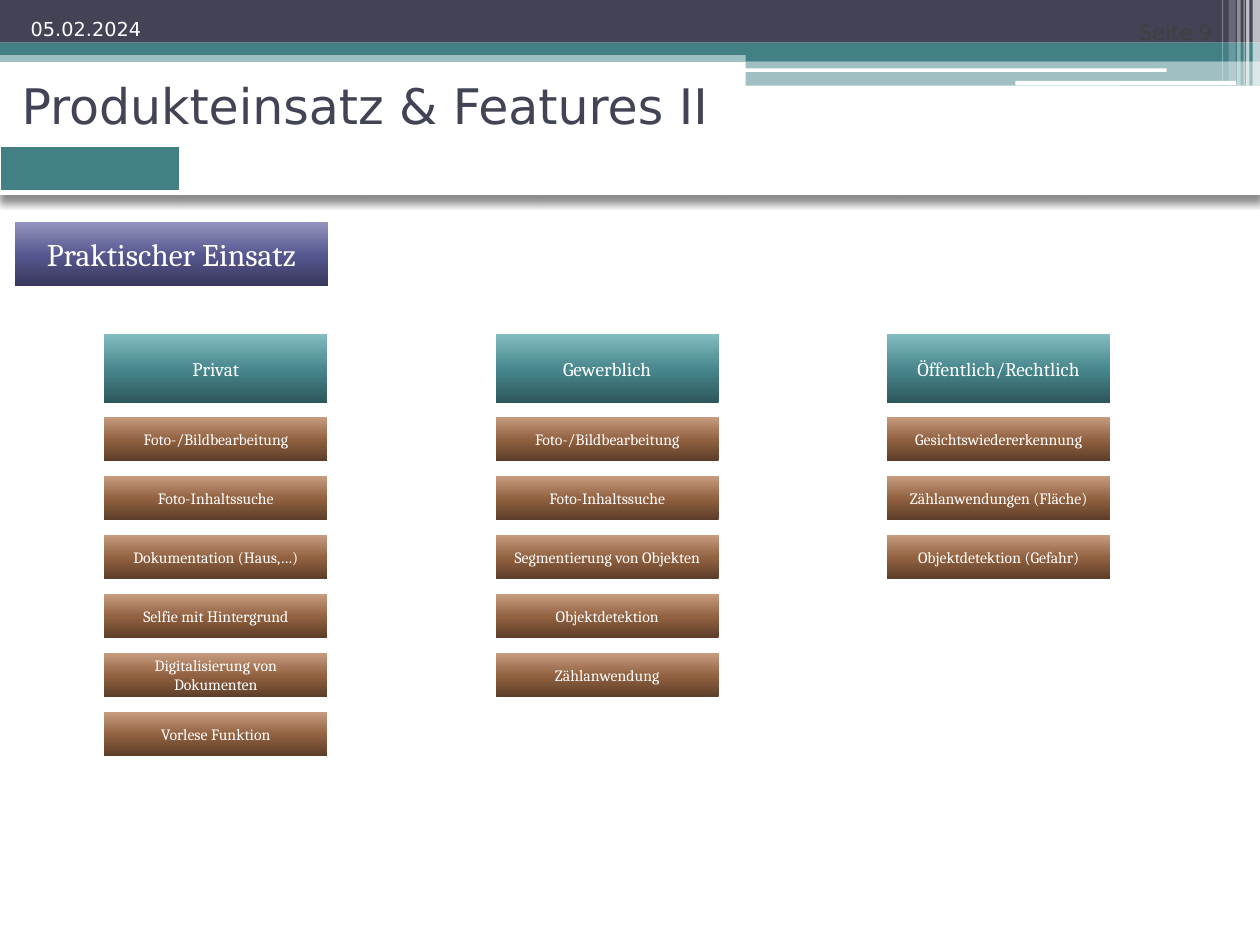
from dataclasses import dataclass

import lxml.etree
import pptx
import pptx.dml.color
import pptx.enum.shapes
import pptx.enum.text
import pptx.oxml
import pptx.oxml.ns
import pptx.util
from pptx.util import Cm, Pt

ALIGN = pptx.enum.text.PP_ALIGN
ANCHOR = pptx.enum.text.MSO_ANCHOR
SHAPE = pptx.enum.shapes.MSO_SHAPE
NAMESPACE = pptx.oxml.ns.nsdecls("a")


@dataclass(frozen=True)
class Theme:
    navy: str = "424456"
    teal: str = "438086"
    white: str = "FFFFFF"
    grey: str = "404040"
    purple_gradient: tuple[str, ...] = ("38385C", "56578F", "9394BE")
    teal_gradient: tuple[str, ...] = ("2D565A", "46868C", "83BCC1")
    brown_gradient: tuple[str, ...] = ("5D3E29", "916140", "C69B7E")
    heading_font: str = "DejaVu Sans"
    body_font: str = "Cambria"
    title_size: float = 28
    section_size: float = 18
    page_size: float = 12
    group_size: float = 11
    item_size: float = 9


@dataclass(frozen=True)
class Box:
    """A rectangle in centimetres."""
    left: float
    top: float
    width: float
    height: float

    def lengths(self) -> tuple[int, ...]:
        return Cm(self.left), Cm(self.top), Cm(self.width), Cm(self.height)


@dataclass(frozen=True)
class Band:
    box: Box
    color: str
    opacity: int = 100
    rounded: bool = False


@dataclass(frozen=True)
class Group:
    name: str
    items: tuple[str, ...]


THEME = Theme()

BANDS = (
    Band(Box(0, 1.02, 25.4, 0.23), THEME.teal, 50),
    Band(Box(0, 0, 25.4, 0.86), THEME.navy),
    Band(Box(0, 0.86, 25.4, 0.25), THEME.teal),
    Band(Box(15.03, 0.99, 10.37, 0.24), THEME.teal),
    Band(Box(15.03, 1.23, 10.37, 0.5), THEME.teal, 50),
    Band(Box(15.01, 1.38, 8.51, 0.07), THEME.white, rounded=True),
    Band(Box(20.47, 1.63, 4.45, 0.09), THEME.white, rounded=True),
    Band(Box(25.25, 0, 0.15, 1.73), THEME.white, 65),
    Band(Box(25.12, 0, 0.07, 1.73), THEME.white, 65),
    Band(Box(25.07, 0, 0.02, 1.73), THEME.white, 60),
    Band(Box(24.94, 0, 0.07, 1.73), THEME.white, 40),
    Band(Box(24.77, 0, 0.14, 1.63), THEME.white, 20),
    Band(Box(24.64, 0, 0.02, 1.63), THEME.white, 30),
)

GROUPS = (
    Group("Privat", (
        "Foto-/Bildbearbeitung", "Foto-Inhaltssuche", "Dokumentation (Haus,…)",
        "Selfie mit Hintergrund", "Digitalisierung von Dokumenten", "Vorlese Funktion")),
    Group("Gewerblich", (
        "Foto-/Bildbearbeitung", "Foto-Inhaltssuche", "Segmentierung von Objekten",
        "Objektdetektion", "Zählanwendung")),
    Group("Öffentlich/Rechtlich", (
        "Gesichtswiedererkennung", "Zählanwendungen (Fläche)", "Objektdetektion (Gefahr)")),
)

COLUMN_LEFT, COLUMN_PITCH, COLUMN_WIDTH = 2.1, 7.89, 4.5
GROUP_TOP, GROUP_HEIGHT = 6.73, 1.4
ITEM_TOP, ITEM_PITCH, ITEM_HEIGHT = 8.41, 1.19, 0.88


def rgb(color: str) -> pptx.dml.color.RGBColor:
    return pptx.dml.color.RGBColor.from_string(color)


def write_text(shape, text: str, size: float, font: str, color: str, align, anchor) -> None:
    frame = shape.text_frame
    frame.word_wrap = True
    frame.auto_size = pptx.enum.text.MSO_AUTO_SIZE.NONE
    frame.vertical_anchor = anchor
    paragraph = frame.paragraphs[0]
    paragraph.text = text
    paragraph.alignment = align
    paragraph.font.size = Pt(size)
    paragraph.font.name = font
    paragraph.font.color.rgb = rgb(color)


def draw_band(slide, band: Band) -> None:
    kind = SHAPE.ROUNDED_RECTANGLE if band.rounded else SHAPE.RECTANGLE
    shape = slide.shapes.add_shape(kind, *band.box.lengths())
    shape.shadow.inherit = False
    shape.line.fill.background()
    shape.fill.solid()
    shape.fill.fore_color.rgb = rgb(band.color)
    if band.opacity < 100:
        color = shape.fill._xPr.find(".//" + pptx.oxml.ns.qn("a:srgbClr"))
        alpha = lxml.etree.SubElement(color, pptx.oxml.ns.qn("a:alpha"))
        alpha.set("val", str(band.opacity * 1000))


def draw_tile(slide, box: Box, text: str, size: float, gradient: tuple[str, ...]) -> None:
    """Draw a rectangle shaded from dark at the bottom to light at the top."""
    shape = slide.shapes.add_shape(SHAPE.RECTANGLE, *box.lengths())
    shape.shadow.inherit = False
    shape.line.fill.background()
    stops = "".join(
        f'<a:gs pos="{position * 1000}"><a:srgbClr val="{color}"/></a:gs>'
        for position, color in zip((0, 48, 100), gradient))
    fill = pptx.oxml.parse_xml(
        f'<a:gradFill {NAMESPACE} rotWithShape="1"><a:gsLst>{stops}</a:gsLst>'
        '<a:lin ang="16200000" scaled="0"/></a:gradFill>')
    shape._element.spPr.find(pptx.oxml.ns.qn("a:prstGeom")).addnext(fill)
    write_text(shape, text, size, THEME.body_font, THEME.white, ALIGN.CENTER, ANCHOR.MIDDLE)


def draw_progress_table(slide, box: Box, columns: int) -> None:
    """Draw a one-row table whose first cell marks the current section."""
    table = slide.shapes.add_table(1, columns, *box.lengths()).table
    table.first_row = table.horz_banding = False
    table._tbl.tblPr.insert(0, pptx.oxml.parse_xml(
        f'<a:effectLst {NAMESPACE}><a:outerShdw blurRad="50800" dist="50800" dir="5400000">'
        '<a:srgbClr val="000000"><a:alpha val="45000"/></a:srgbClr></a:outerShdw></a:effectLst>'))
    for index, cell in enumerate(table.rows[0].cells):
        properties = cell._tc.get_or_add_tcPr()
        for side, points in (("L", 1), ("R", 1), ("T", 1), ("B", 3)):
            properties.append(pptx.oxml.parse_xml(
                f'<a:ln{side} {NAMESPACE} w="{Pt(points)}"><a:solidFill>'
                f'<a:srgbClr val="{THEME.white}"/></a:solidFill></a:ln{side}>'))
        cell.fill.solid()
        cell.fill.fore_color.rgb = rgb(THEME.white if index else THEME.teal)
        cell.text_frame.paragraphs[0].font.size = Pt(THEME.page_size)


def draw_group(slide, column: int, group: Group) -> None:
    left = COLUMN_LEFT + column * COLUMN_PITCH
    draw_tile(slide, Box(left, GROUP_TOP, COLUMN_WIDTH, GROUP_HEIGHT),
              group.name, THEME.group_size, THEME.teal_gradient)
    for row, item in enumerate(group.items):
        box = Box(left, ITEM_TOP + row * ITEM_PITCH, COLUMN_WIDTH, ITEM_HEIGHT)
        draw_tile(slide, box, item, THEME.item_size, THEME.brown_gradient)


def main() -> None:
    presentation = pptx.Presentation()
    presentation.slide_width, presentation.slide_height = Cm(25.4), Cm(19.05)
    slide = presentation.slides.add_slide(presentation.slide_layouts[5])

    for band in BANDS:
        draw_band(slide, band)

    title = slide.shapes.title
    title.left, title.top, title.width, title.height = Box(0.18, 1.32, 22.86, 1.6).lengths()
    write_text(title, "Produkteinsatz & Features II", THEME.title_size,
               THEME.heading_font, THEME.navy, ALIGN.LEFT, ANCHOR.MIDDLE)

    page = slide.shapes.add_textbox(*Box(20.29, 0, 4.4, 1.02).lengths())
    write_text(page, "Seite 9", THEME.page_size,
               THEME.heading_font, THEME.grey, ALIGN.RIGHT, ANCHOR.BOTTOM)
    date = slide.shapes.add_textbox(*Box(0.18, -0.08, 2.92, 1.02).lengths())
    write_text(date, "05.02.2024", THEME.group_size,
               THEME.heading_font, THEME.white, ALIGN.RIGHT, ANCHOR.BOTTOM)

    draw_progress_table(slide, Box(0, 2.94, 25.4, 0.94), columns=7)
    draw_tile(slide, Box(0.3, 4.47, 6.32, 1.3), "Praktischer Einsatz",
              THEME.section_size, THEME.purple_gradient)
    for column, group in enumerate(GROUPS):
        draw_group(slide, column, group)

    presentation.save("out.pptx")


if __name__ == "__main__":
    main()
